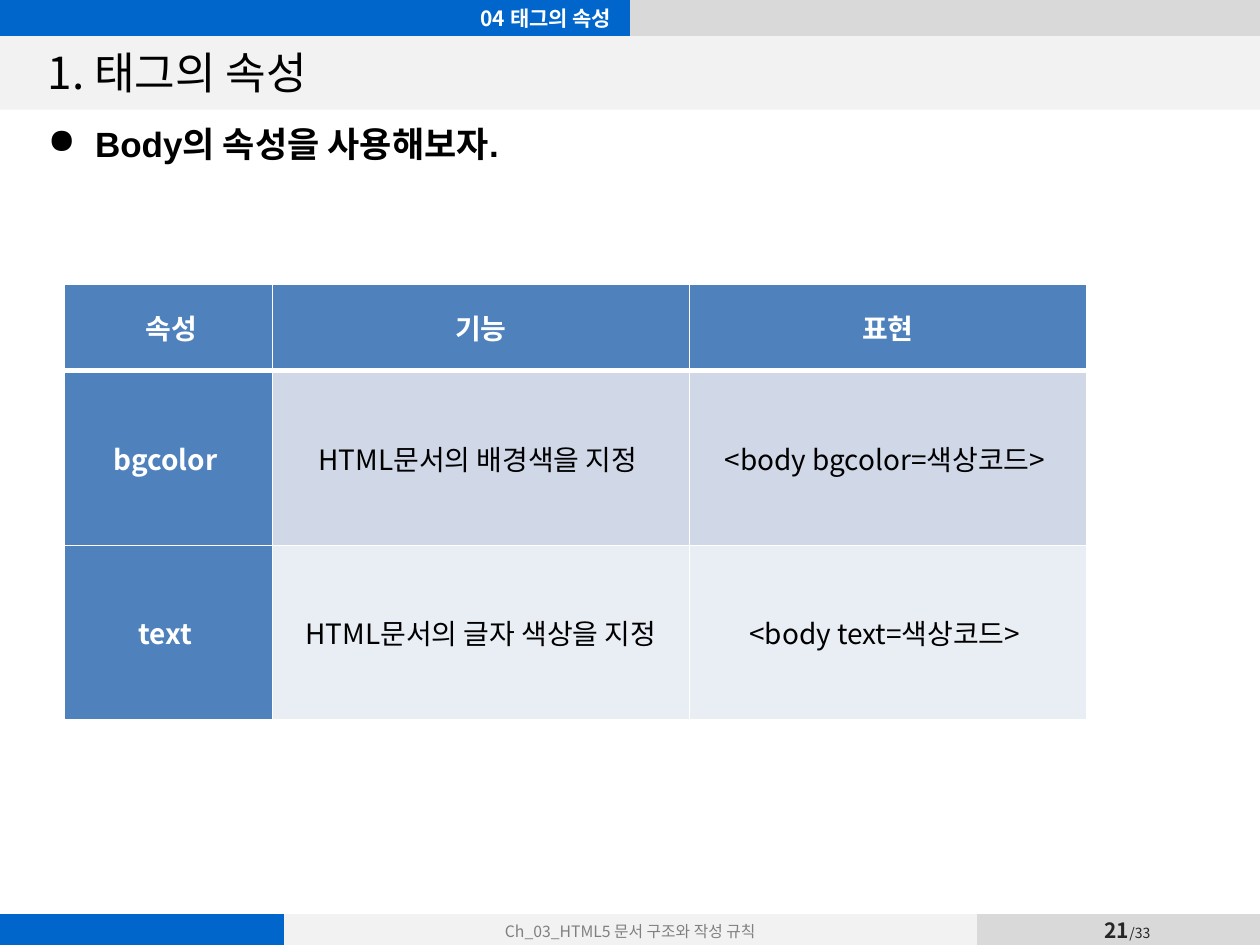
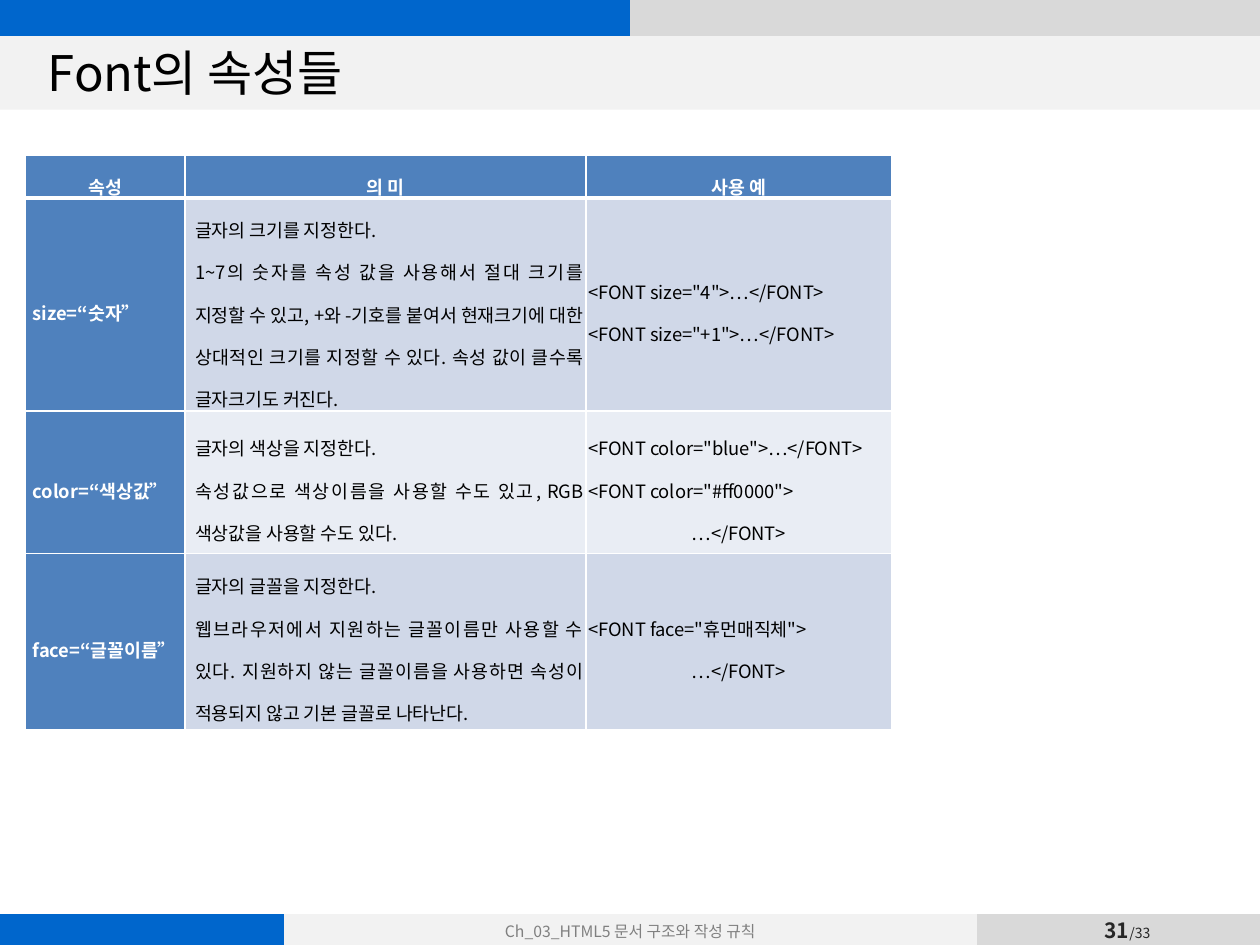
from lxml import etree
from pptx import Presentation
from pptx.dml.color import RGBColor
from pptx.enum import shapes, text
from pptx.oxml.ns import qn
from pptx.util import Pt

COLORS = {
    "blue": "0066CC", "grey": "D9D9D9", "pale": "F2F2F2", "footer": "808080",
    "number": "262626", "white": "FFFFFF", "black": "000000",
    "head": "4F81BD", "odd": "D0D8E8", "even": "E9EDF4",
}
KOREAN = "Noto Sans CJK KR"
PLAIN_STYLE = "{2D5ABB26-0587-4C30-8999-92F81FD0307C}"
LEFT, CENTER = text.PP_ALIGN.LEFT, text.PP_ALIGN.CENTER
RIGHT, JUSTIFY = text.PP_ALIGN.RIGHT, text.PP_ALIGN.JUSTIFY
MIDDLE = text.MSO_ANCHOR.MIDDLE


def write(paragraph, words, size, color, bold=False, align=LEFT, font=KOREAN):
    """Add one run to a paragraph, with the same look for Latin and Korean."""
    paragraph.alignment = align
    run = paragraph.add_run()
    run.text = words
    for key, value in {"size": Pt(size), "bold": bold, "name": font}.items():
        setattr(run.font, key, value)
    run.font.color.rgb = RGBColor.from_string(COLORS[color])
    etree.SubElement(run.font._element, qn("a:ea"), typeface=KOREAN)


def grid(slide, left, top, columns, rows, fills, inset=0, ruled=False):
    """Add a filled table; a ruled one has white lines, thick under its head."""
    table = slide.shapes.add_table(len(rows), len(columns), Pt(left), Pt(top),
                                   Pt(sum(columns)), Pt(sum(rows))).table
    table.first_row = table.horz_banding = False
    table._tbl.tblPr[0].text = PLAIN_STYLE
    for column, width in zip(table.columns, columns):
        column.width = Pt(width)
    for r, height in enumerate(rows):
        table.rows[r].height = Pt(height)
        for c in range(len(columns)):
            cell = table.cell(r, c)
            cell.vertical_anchor = MIDDLE
            for side in ("left", "top", "right", "bottom"):
                setattr(cell, f"margin_{side}", Pt(inset))
            cell.fill.solid()
            cell.fill.fore_color.rgb = RGBColor.from_string(COLORS[fills[r][c]])
            cell.text_frame.paragraphs[0]._p.get_or_add_endParaRPr().set("sz", "800")
            if not ruled:
                continue
            for place, edge in enumerate(("lnL", "lnR", "lnT", "lnB")):
                thick = (r, edge) in ((0, "lnB"), (1, "lnT"))
                line = etree.Element(qn(f"a:{edge}"), w=str(Pt(3 if thick else 1)))
                paint = etree.SubElement(line, qn("a:solidFill"))
                etree.SubElement(paint, qn("a:srgbClr"), val=COLORS["white"])
                cell._tc.tcPr.insert(place, line)
    return table


deck = Presentation()
deck.slide_width, deck.slide_height = Pt(720), Pt(540)

# Shared frame: title band, top band, footer, page number and title
slides = []
for number, title, title_size in (("21", "1. 태그의 속성", 25.2),
                                  ("31", "Font의 속성들", 28)):
    slide = deck.slides.add_slide(deck.slide_layouts[6])
    slides.append(slide)

    band = slide.shapes.add_shape(shapes.MSO_SHAPE.RECTANGLE,
                                  Pt(0), Pt(20.2), Pt(720), Pt(42.5))
    band.shadow.inherit = False
    band.fill.solid()
    band.fill.fore_color.rgb = RGBColor.from_string(COLORS["pale"])
    band.line.fill.background()

    grid(slide, 0, 0, [360, 360], [20.5], [["blue", "grey"]])
    footer = grid(slide, 0, 522, [162, 396, 2, 96.5, 65], [19.2],
                  [["blue", "pale", "grey", "grey", "grey"]])
    write(footer.cell(0, 1).text_frame.paragraphs[0],
          "Ch_03_HTML5 문서 구조와 작성 규칙", 9, "footer", align=CENTER)

    page = slide.shapes.add_textbox(Pt(609.8), Pt(522), Pt(69), Pt(18.7)).text_frame
    for key, value in {"margin_left": 0, "margin_right": 0, "word_wrap": False,
                       "vertical_anchor": MIDDLE}.items():
        setattr(page, key, value)
    write(page.paragraphs[0], number, 12, "number", True, CENTER)
    write(page.paragraphs[0], "/33", 8, "number", False, CENTER)

    heading = slide.shapes.add_textbox(Pt(20.2), Pt(20.9), Pt(680.4), Pt(40.3)).text_frame
    heading.word_wrap, heading.vertical_anchor = True, MIDDLE
    write(heading.paragraphs[0], title, title_size, "black")

body_slide, font_slide = slides

# Body attributes: chapter label and bullet
chapter = body_slide.shapes.add_textbox(Pt(0), Pt(0), Pt(356.4), Pt(20.2)).text_frame
chapter.word_wrap, chapter.vertical_anchor = True, MIDDLE
write(chapter.paragraphs[0], "04 태그의 속성", 12, "white", True, RIGHT)

task = body_slide.shapes.add_textbox(Pt(20.2), Pt(66.2), Pt(680.4), Pt(62.6)).text_frame
task.word_wrap = True
bullet = task.paragraphs[0]
write(bullet, "Body의 속성을 사용해보자.", 20, "black", True, font="Arial")
bullet.space_before = Pt(4)
bullet_format = bullet._p.get_or_add_pPr()
bullet_format.set("marL", str(Pt(27)))
bullet_format.set("indent", str(Pt(-27)))
etree.SubElement(bullet_format, qn("a:buChar"), char="●")

# Body attributes: table
body_rows = [
    [" 속성", "기능", "표현"],
    ["bgcolor ", "HTML문서의 배경색을 지정 ", "<body bgcolor=색상코드> "],
    ["text ", "HTML문서의 글자 색상을 지정", "<body text=색상코드> "],
]
row_fills = [["head"] * 3, ["head", "odd", "odd"], ["head", "even", "even"]]
body_table = grid(body_slide, 36.9, 162.4, [118.8, 238.3, 226.8], [49.5, 99.8, 99.8],
                  row_fills, ruled=True)
for r, row in enumerate(body_rows):
    for c, words in enumerate(row):
        label = r == 0 or c == 0
        write(body_table.cell(r, c).text_frame.paragraphs[0], words, 16,
              "white" if label else "black", label, CENTER)

# Font attributes: table, one list of paragraphs per cell
font_rows = [
    [["속성"], ["의 미"], ["사용 예"]],
    [["size=“숫자”"],
     ["글자의 크기를 지정한다.",
      "1~7의 숫자를 속성 값을 사용해서 절대 크기를 지정할 수 있고, +와 -기호를 붙여서 "
      "현재크기에 대한 상대적인 크기를 지정할 수 있다. 속성 값이 클수록 글자크기도 커진다."],
     ['<FONT size="4">…</FONT>', '<FONT size="+1">…</FONT>']],
    [["color=“색상값”"],
     ["글자의 색상을 지정한다.",
      "속성값으로 색상이름을 사용할 수도 있고, RGB 색상값을 사용할 수도 있다."],
     ['<FONT color="blue">…</FONT>', '<FONT color="#ff0000">', "…</FONT>"]],
    [["face=“글꼴이름”"],
     ["글자의 글꼴을 지정한다.",
      "웹브라우저에서 지원하는 글꼴이름만 사용할 수 있다. 지원하지 않는 글꼴이름을 "
      "사용하면 속성이 적용되지 않고 기본 글꼴로 나타난다."],
     ['<FONT face="휴먼매직체">', "…</FONT>"]],
]
indents = [2.9, 4.3, 0]
font_table = grid(font_slide, 14.4, 88.6, [91.4, 229, 175], [24.5, 121.7, 81.4, 100.8],
                  row_fills + [row_fills[1]], inset=1.4, ruled=True)
for r, row in enumerate(font_rows):
    for c, lines in enumerate(row):
        label = r == 0 or c == 0
        frame = font_table.cell(r, c).text_frame
        for i, words in enumerate(lines):
            paragraph = frame.add_paragraph() if i else frame.paragraphs[0]
            centred = r == 0 or words.startswith("…")
            write(paragraph, words, 10.5, "white" if label else "black", label,
                  CENTER if centred else JUSTIFY)
            paragraph.line_spacing = 1.6
            if r > 0:
                paragraph._p.get_or_add_pPr().set("marL", str(Pt(indents[c])))

deck.save("out.pptx")
